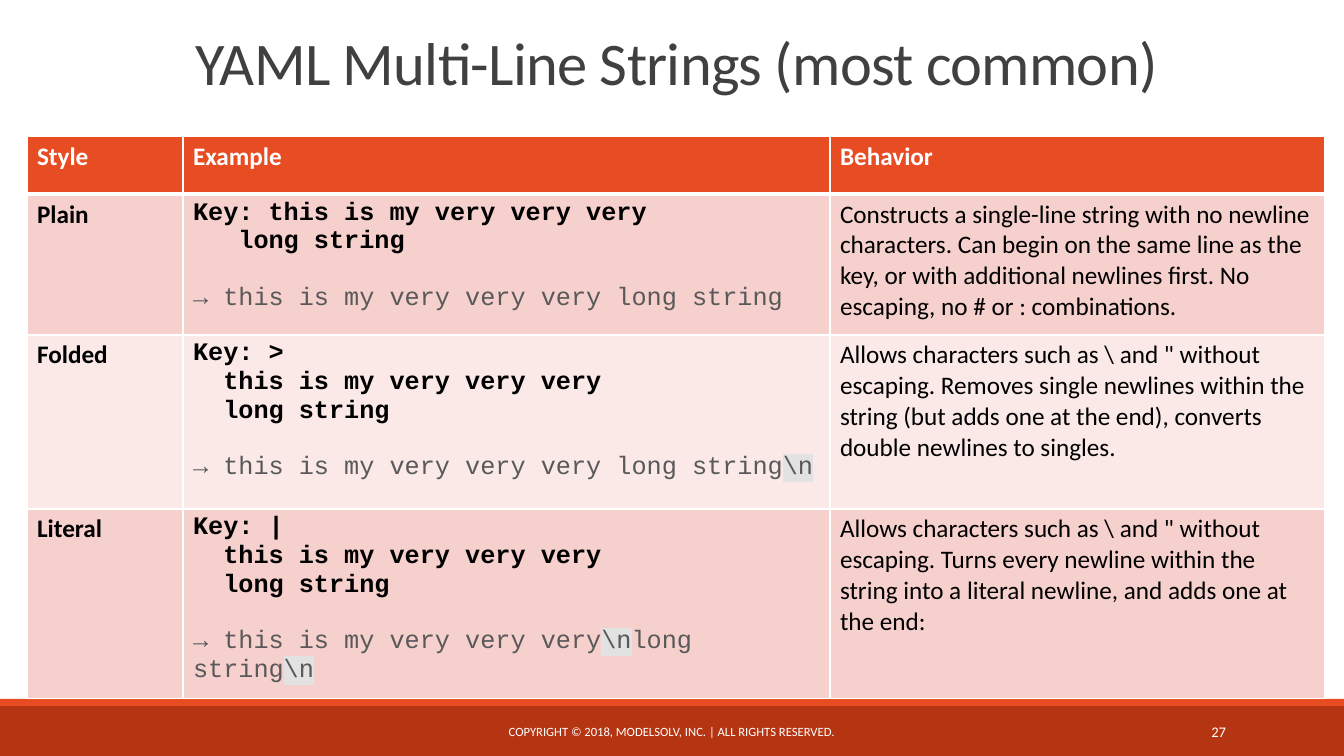
from dataclasses import dataclass

from lxml import etree
from pptx import Presentation, util as u
from pptx.dml.color import RGBColor
from pptx.enum import shapes, text
from pptx.oxml.ns import qn


@dataclass(frozen=True)
class Theme:
    sans: str = "Calibri"
    mono: str = "Courier New"
    white: str = "FFFFFF"
    black: str = "000000"
    gray: str = "595959"
    dark: str = "404040"
    mark: str = "E2E2E2"
    red: str = "E84C22"
    brick: str = "B53513"
    rose: str = "F6D0CD"
    blush: str = "FBE9E8"
    big: float = 43.2
    body: float = 18
    foot: float = 9
    page: float = 10.5
    gap: float = 20


T = Theme()
SCALE = 914400 / 100.8
COLS = [156, 647, 495]
ROWS = [58, 141, 174, 174]
HEAD = ["Style", "Example", "Behavior"]
BREAK = "\\n"
STYLES = [
    ("Plain",
     ["Key: this is my very very very", "   long string"],
     ["→ this is my very very very long string"],
     "Constructs a single-line string with no newline characters. "
     "Can begin on the same line as the key, or with additional newlines "
     "first. No escaping, no # or : combinations."),
    ("Folded",
     ["Key: >", "  this is my very very very", "  long string"],
     ["→ this is my very very very long string", BREAK],
     "Allows characters such as \\ and \" without escaping. "
     "Removes single newlines within the string (but adds one at the end), "
     "converts double newlines to singles."),
    ("Literal",
     ["Key: |", "  this is my very very very", "  long string"],
     ["→ this is my very very very", BREAK, "long string", BREAK],
     "Allows characters such as \\ and \" without escaping. "
     "Turns every newline within the string into a literal newline, "
     "and adds one at the end:"),
]


def px(n):
    return u.Emu(round(n * SCALE))


def ink(run, size, color, bold=False, face=T.sans):
    font = run.font
    font.size = u.Pt(size)
    font.name = face
    font.bold = bold
    font.color.rgb = RGBColor.from_string(color)


def tint(run):
    fill = run.font._element.find(qn("a:solidFill"))
    mark = etree.Element(qn("a:highlight"))
    etree.SubElement(mark, qn("a:srgbClr"), val=T.mark)
    fill.addnext(mark)


def bar(slide, top, high, color):
    rect = slide.shapes.add_shape(
        shapes.MSO_SHAPE.RECTANGLE, 0, px(top), px(1344), px(high))
    rect.shadow.inherit = False
    rect.fill.solid()
    rect.fill.fore_color.rgb = RGBColor.from_string(color)
    rect.line.fill.background()


def label(slide, box, words, size, color, align, anchor):
    frame = slide.shapes.add_textbox(*map(px, box)).text_frame
    frame.word_wrap = True
    frame.vertical_anchor = anchor
    frame.text = words
    para = frame.paragraphs[0]
    para.alignment = align
    ink(para.runs[0], size, color)
    return frame


def title(slide, words):
    frame = label(slide, (9, 31, 1335, 67), words, T.big, T.dark,
                  text.PP_ALIGN.CENTER, text.MSO_ANCHOR.BOTTOM)
    frame.margin_bottom = 0
    para = frame.paragraphs[0]
    para.line_spacing = 0.85
    para.runs[0].font._element.set("spc", "-50")


def edge(cell, widths):
    props = cell._tc.get_or_add_tcPr()
    for spot, (side, width) in enumerate(zip("LRTB", widths)):
        line = etree.Element(qn(f"a:ln{side}"), w=str(u.Pt(width)))
        fill = etree.SubElement(line, qn("a:solidFill"))
        etree.SubElement(fill, qn("a:srgbClr"), val=T.white)
        props.insert(spot, line)


def paint(cell, color, top=1, base=1):
    cell.fill.solid()
    cell.fill.fore_color.rgb = RGBColor.from_string(color)
    edge(cell, (1, 1, top, base))


def write(cell, words, color, bold):
    cell.text = words
    ink(cell.text_frame.paragraphs[0].runs[0], T.body, color, bold)


def sample(cell, code, result):
    frame = cell.text_frame
    frame.text = "\n".join(code)
    for para in frame.paragraphs:
        ink(para.runs[0], T.body, T.black, True, T.mono)
    para = frame.add_paragraph()
    para.space_before = u.Pt(T.gap)
    for piece in result:
        run = para.add_run()
        run.text = piece
        ink(run, T.body, T.gray, face=T.mono)
        if piece == BREAK:
            tint(run)


def grid(slide):
    table = slide.shapes.add_table(
        len(ROWS), len(COLS), px(27), px(136),
        px(sum(COLS)), px(sum(ROWS))).table
    table.horz_banding = False
    for col, wide in zip(table.columns, COLS):
        col.width = px(wide)
    for row, high in zip(table.rows, ROWS):
        row.height = px(high)
    for col, words in enumerate(HEAD):
        cell = table.cell(0, col)
        write(cell, words, T.white, True)
        paint(cell, T.red, base=3)
    for row, (name, code, result, note) in enumerate(STYLES, 1):
        write(table.cell(row, 0), name, T.black, True)
        sample(table.cell(row, 1), code, result)
        write(table.cell(row, 2), note, T.black, False)
        for cell in table.rows[row].cells:
            paint(cell, T.rose if row % 2 else T.blush,
                  top=3 if row == 1 else 1)


def main():
    deck = Presentation()
    deck.slide_width = px(1344)
    deck.slide_height = px(756)
    slide = deck.slides.add_slide(deck.slide_layouts[6])
    bar(slide, 706, 50, T.brick)
    bar(slide, 699, 7, T.red)
    middle = text.MSO_ANCHOR.MIDDLE
    label(slide, (406, 712, 531, 40),
          "COPYRIGHT © 2018, MODELSOLV, INC. | ALL RIGHTS RESERVED.",
          T.foot, T.white, text.PP_ALIGN.CENTER, middle)
    label(slide, (1092, 712, 144, 40), "27",
          T.page, T.white, text.PP_ALIGN.RIGHT, middle)
    title(slide, "YAML Multi-Line Strings (most common)")
    grid(slide)
    deck.save("out.pptx")


if __name__ == "__main__":
    main()
